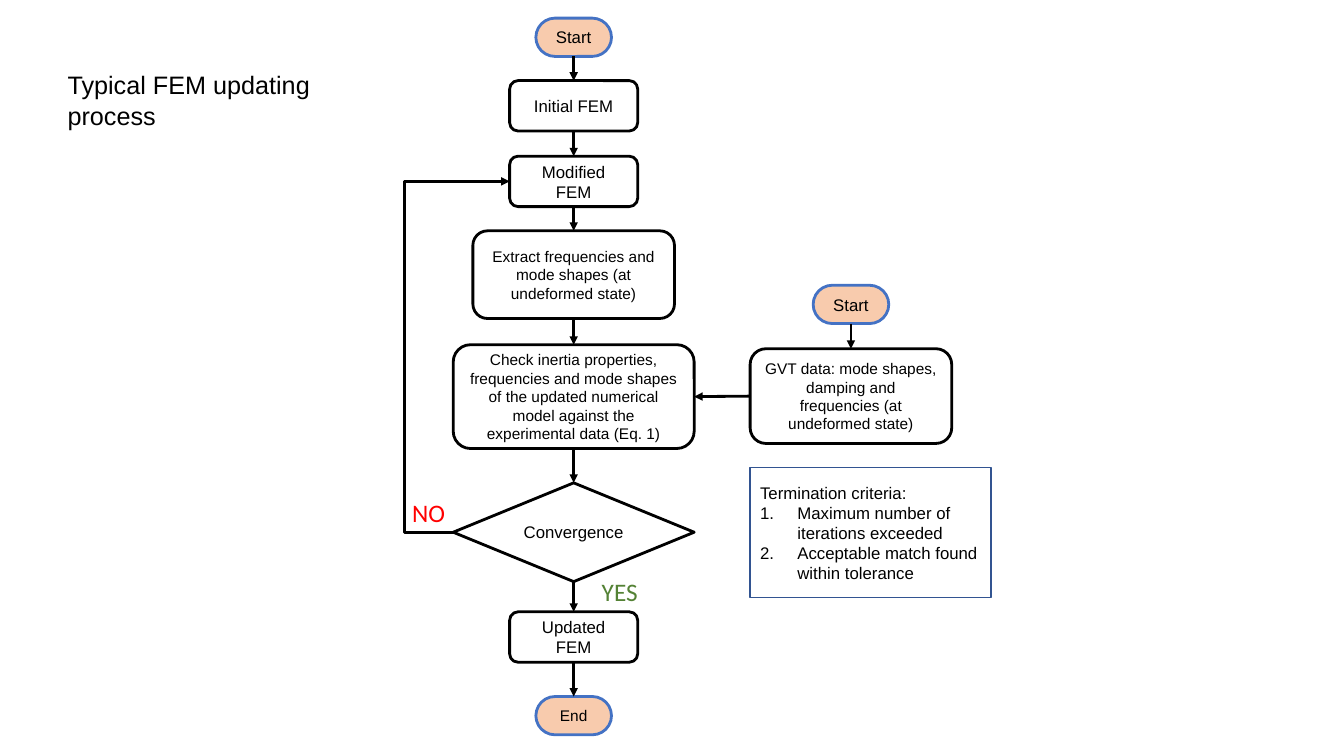
from dataclasses import dataclass

from lxml.etree import SubElement
from pptx import Presentation
from pptx.dml.color import RGBColor as Rgb
from pptx.enum.shapes import MSO_CONNECTOR as Link, MSO_SHAPE as Kind
from pptx.enum.text import MSO_ANCHOR as Anchor, MSO_AUTO_SIZE as Fit, PP_ALIGN as Align
from pptx.oxml.ns import qn
from pptx.util import Inches, Pt


@dataclass(frozen=True)
class Theme:
    """Colours, fonts and type sizes of the slide."""
    ink: str = "000000"
    paper: str = "FFFFFF"
    peach: str = "F8CBAD"
    blue: str = "4472C4"
    navy: str = "325491"
    green: str = "548235"
    red: str = "FF0000"
    font: str = "Arial"
    alt: str = "Calibri"
    head: int = 18
    body: int = 12
    small: int = 11
    line: int = 2
    thin: int = 1


T = Theme()
MAIN, SIDE = 5.69, 8.44  # centre lines of the two columns
TOP, LEFT, BASE, RIGHT = range(4)  # connection sites

# kind: preset, width, fill, line, corner
STYLES = {
    "pill": (Kind.ROUNDED_RECTANGLE, 0.75, T.peach, T.blue, 0.5),
    "step": (Kind.ROUNDED_RECTANGLE, 1.27, T.paper, T.ink, None),
    "task": (Kind.ROUNDED_RECTANGLE, 2, T.paper, T.ink, None),
    "check": (Kind.ROUNDED_RECTANGLE, 2.39, T.paper, T.ink, None),
    "choice": (Kind.DIAMOND, 2.39, T.paper, T.ink, None),
}

TITLE = "Typical FEM updating process"
# name: text, kind, centre, top, height, type size
NODES = {
    "start": ("Start", "pill", MAIN, 0.18, 0.38, T.body),
    "initial": ("Initial FEM", "step", MAIN, 0.8, 0.5, T.body),
    "modified": ("Modified FEM", "step", MAIN, 1.55, 0.5, T.body),
    "extract": ("Extract frequencies and mode shapes (at undeformed state)",
                "task", MAIN, 2.29, 0.87, T.small),
    "compare": ("Check inertia properties, frequencies and mode shapes of the "
                "updated numerical model against the experimental data (Eq. 1)",
                "check", MAIN, 3.42, 1.03, T.small),
    "converge": ("Convergence", "choice", MAIN, 4.79, 0.98, T.body),
    "updated": ("Updated FEM", "step", MAIN, 6.07, 0.5, T.body),
    "end": ("End", "pill", MAIN, 6.91, 0.38, T.small),
    "test": ("Start", "pill", SIDE, 2.83, 0.38, T.body),
    "data": ("GVT data: mode shapes, damping and frequencies (at undeformed state)",
             "task", SIDE, 3.46, 0.94, T.small),
}
FLOW = ["start", "initial", "modified", "extract", "compare", "converge",
        "updated", "end"]
LABELS = [("YES", T.green, 5.87, 5.67), ("NO", T.red, 3.99, 4.88)]
CRITERIA = ("Termination criteria:",
            ["Maximum number of iterations exceeded",
             "Acceptable match found within tolerance"])
LOOP_X = 4.01  # where the return loop runs upward


def write(para, text, size, color=T.ink, font=T.font, align=Align.LEFT):
    """Put one styled run in a paragraph."""
    para.alignment = align
    run = para.add_run()
    run.text = text
    run.font.size, run.font.name = Pt(size), font
    run.font.color.rgb = Rgb.from_string(color)


def draw(kind, box, fill, line, width):
    """Add a flat shape whose text wraps and sits mid-height."""
    shape = slide.shapes.add_shape(kind, *map(Inches, box))
    shape.shadow.inherit = False
    if fill:
        shape.fill.solid()
        shape.fill.fore_color.rgb = Rgb.from_string(fill)
    else:
        shape.fill.background()
    shape.line.color.rgb = Rgb.from_string(line)
    shape.line.width = Pt(width)
    shape.text_frame.word_wrap = True
    shape.text_frame.vertical_anchor = Anchor.MIDDLE
    return shape


def add_node(text, style, centre, top, height, size):
    """Add one flowchart node centred on its column."""
    kind, width, fill, line, corner = STYLES[style]
    box = (centre - width / 2, top, width, height)
    shape = draw(kind, box, fill, line, T.line)
    if corner is not None:
        shape.adjustments[0] = corner
    write(shape.text_frame.paragraphs[0], text, size, align=Align.CENTER)
    return shape


def join(first, exit_at, last, enter_at, kind=Link.STRAIGHT):
    """Connect two nodes with an arrow."""
    arrow = slide.shapes.add_connector(kind, 0, 0, 0, 0)
    arrow.begin_connect(nodes[first], exit_at)
    arrow.end_connect(nodes[last], enter_at)
    arrow.line.color.rgb = Rgb.from_string(T.ink)
    arrow.line.width = Pt(T.line)
    SubElement(arrow.line._get_or_add_ln(), qn("a:tailEnd"), type="triangle")
    SubElement(arrow._element.spPr, qn("a:effectLst"))
    return arrow


def bend(arrow, x):
    """Move the middle leg of an elbow arrow to x."""
    share = (Inches(x) - arrow.begin_x) / (arrow.end_x - arrow.begin_x)
    guides = arrow._element.spPr.prstGeom.get_or_add_avLst()
    SubElement(guides, qn("a:gd"), name="adj1", fmla=f"val {round(share * 100000)}")


def number(para):
    """Number a paragraph with a hanging indent."""
    props = para._p.get_or_add_pPr()
    props.set("marL", str(Inches(0.37)))
    props.set("indent", str(-Inches(0.37)))
    SubElement(props, qn("a:buFont"), typeface=T.font)
    SubElement(props, qn("a:buAutoNum"), type="arabicPeriod")


deck = Presentation()
deck.slide_width, deck.slide_height = Inches(13.33), Inches(7.5)
slide = deck.slides.add_slide(deck.slide_layouts[5])

title = slide.shapes.title
title.left, title.top, title.width, title.height = map(Inches, (0.57, 0.64, 3.3, 0.71))
title.text_frame.word_wrap = True
title.text_frame.auto_size = Fit.NONE
title.text_frame.vertical_anchor = Anchor.TOP
write(title.text_frame.paragraphs[0], TITLE, T.head)

nodes = {name: add_node(*node) for name, node in NODES.items()}
for first, last in zip(FLOW, FLOW[1:]):
    join(first, BASE, last, TOP)
join("test", BASE, "data", TOP)
join("data", LEFT, "compare", RIGHT)
bend(join("converge", LEFT, "modified", LEFT, Link.ELBOW), LOOP_X)

for text, color, left, top in LABELS:
    label = slide.shapes.add_textbox(*map(Inches, (left, top, 0.63, 0.4)))
    label.text_frame.word_wrap = True
    write(label.text_frame.paragraphs[0], text, T.head, color, T.alt)

heading, rules = CRITERIA
frame = draw(Kind.RECTANGLE, (7.44, 4.64, 2.39, 1.29), None, T.navy, T.thin).text_frame
write(frame.paragraphs[0], heading, T.body)
for rule in rules:
    para = frame.add_paragraph()
    write(para, rule, T.body)
    number(para)

deck.save("out.pptx")
